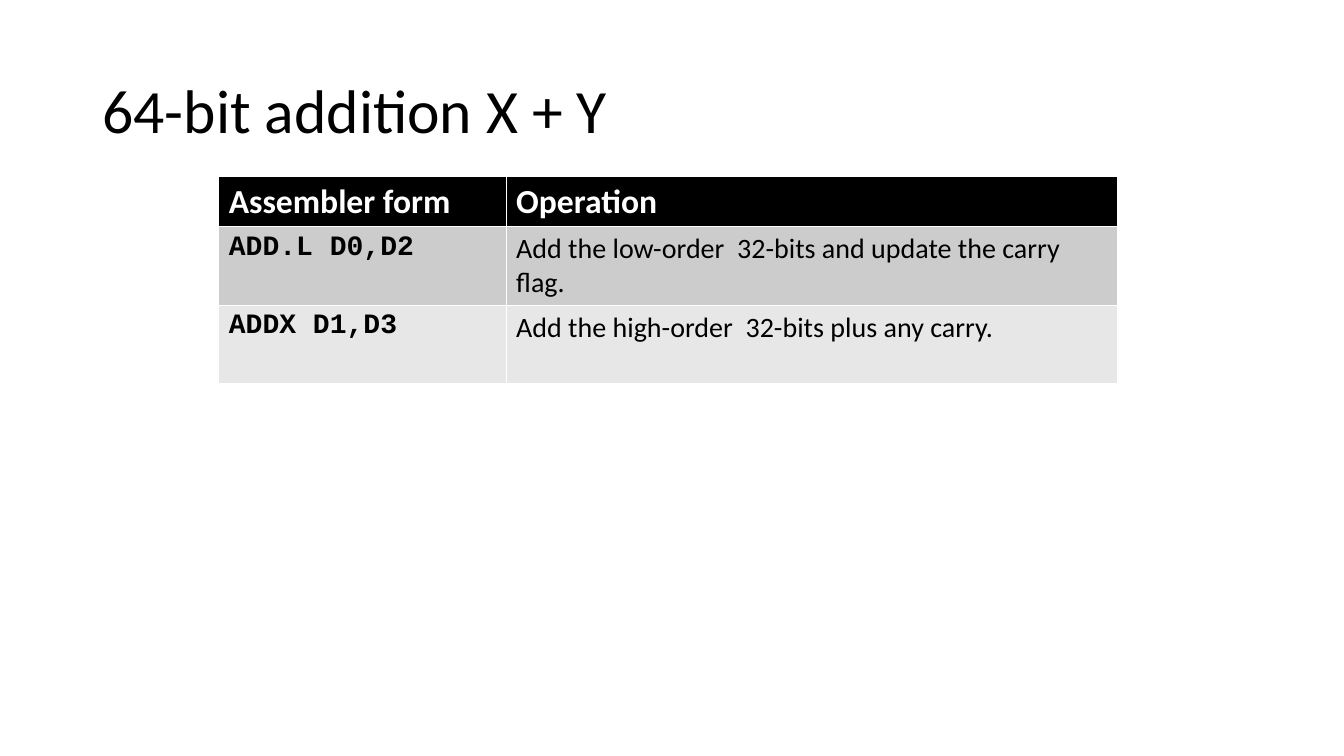
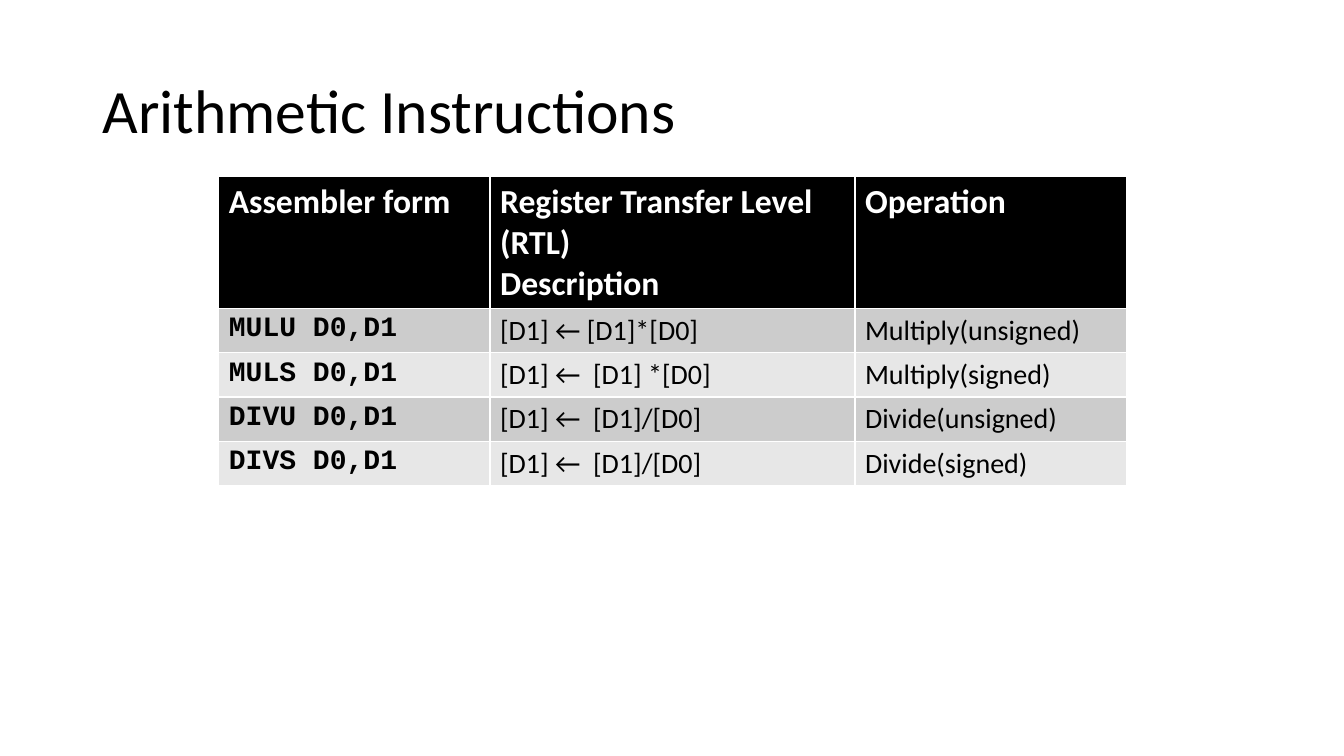
"""Builds two slides on assembler arithmetic, each a title above a table."""
from pptx import Presentation
from pptx.dml.color import RGBColor
from pptx.enum.text import MSO_ANCHOR
from pptx.util import Inches, Pt

MIDDLE = MSO_ANCHOR.MIDDLE
BLACK = RGBColor(0x00, 0x00, 0x00)
WHITE = RGBColor(0xFF, 0xFF, 0xFF)
BANDS = (RGBColor(0xCC, 0xCC, 0xCC), RGBColor(0xE7, 0xE7, 0xE7))
BODY_FONT = "Calibri"
CODE_FONT = "Courier New"

SLIDES = [
    {
        "title": "64-bit addition X + Y",
        "widths": [2.85, 6.06],
        "header_height": 0.5,
        "row_height": 0.78,
        "rows": [
            ["Assembler form", "Operation"],
            ["ADD.L D0,D2", "Add the low-order  32-bits and update the carry flag."],
            ["ADDX D1,D3", "Add the high-order  32-bits plus any carry."],
        ],
    },
    {
        "title": "Arithmetic Instructions",
        "widths": [2.69, 3.62, 2.69],
        "header_height": 1.31,
        "row_height": 0.44,
        "rows": [
            ["Assembler form", "Register Transfer Level (RTL)\nDescription", "Operation"],
            ["MULU D0,D1", "[D1] ← [D1]*[D0]", "Multiply(unsigned)"],
            ["MULS D0,D1", "[D1] ←  [D1] *[D0]", "Multiply(signed)"],
            ["DIVU D0,D1", "[D1] ←  [D1]/[D0]", "Divide(unsigned)"],
            ["DIVS D0,D1", "[D1] ←  [D1]/[D0]", "Divide(signed)"],
        ],
    },
]


def write_text(text_frame, text, size=20, font=BODY_FONT, color=BLACK, bold=False, line_spacing=None):
    paragraph = text_frame.paragraphs[0]
    paragraph.text = text
    paragraph.line_spacing = line_spacing
    for run in paragraph.runs:
        run.font.size = Pt(size)
        run.font.name = font
        run.font.color.rgb = color
        run.font.bold = bold


presentation = Presentation()
presentation.slide_width = Inches(13.33)
presentation.slide_height = Inches(7.5)
blank_layout = presentation.slide_layouts[6]

for content in SLIDES:
    slide = presentation.slides.add_slide(blank_layout)

    title = slide.shapes.add_textbox(Inches(0.92), Inches(0.4), Inches(11.5), Inches(1.45))
    title.text_frame.word_wrap = True
    title.text_frame.vertical_anchor = MIDDLE
    write_text(title.text_frame, content["title"], size=44, line_spacing=0.9)

    rows, widths = content["rows"], content["widths"]
    heights = [content["header_height"]] + [content["row_height"]] * (len(rows) - 1)
    table = slide.shapes.add_table(
        len(rows), len(widths), Inches(2.17), Inches(1.75), Inches(sum(widths)), Inches(sum(heights))
    ).table
    for column, width in zip(table.columns, widths):
        column.width = Inches(width)

    for row_index, (row, height) in enumerate(zip(rows, heights)):
        table.rows[row_index].height = Inches(height)
        for column_index, text in enumerate(row):
            cell = table.cell(row_index, column_index)
            cell.fill.solid()
            if row_index == 0:
                cell.fill.fore_color.rgb = BLACK
                write_text(cell.text_frame, text, size=24, color=WHITE, bold=True)
            else:
                cell.fill.fore_color.rgb = BANDS[(row_index - 1) % 2]
                is_code = column_index == 0
                write_text(cell.text_frame, text, font=CODE_FONT if is_code else BODY_FONT, bold=is_code)

presentation.save("out.pptx")
